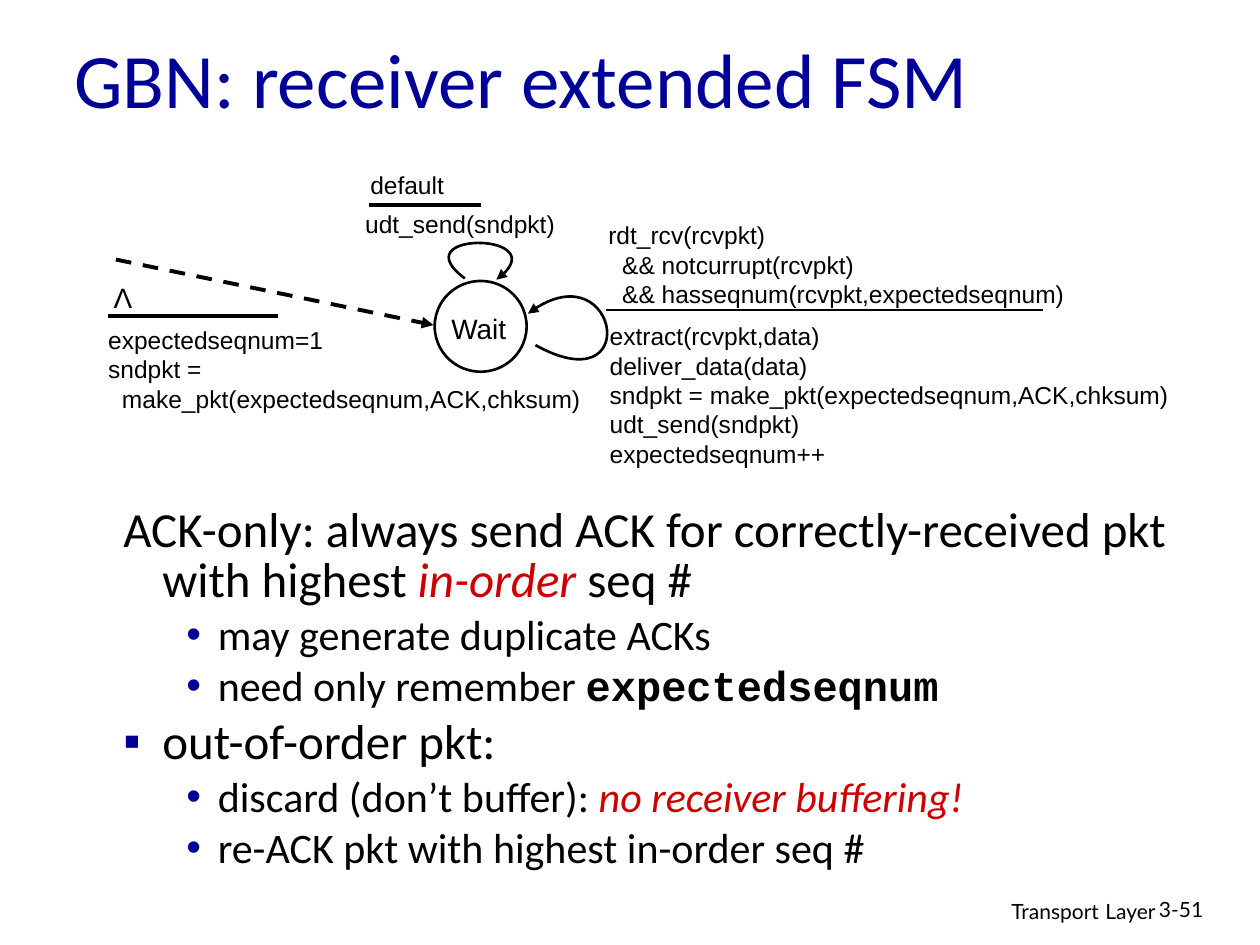
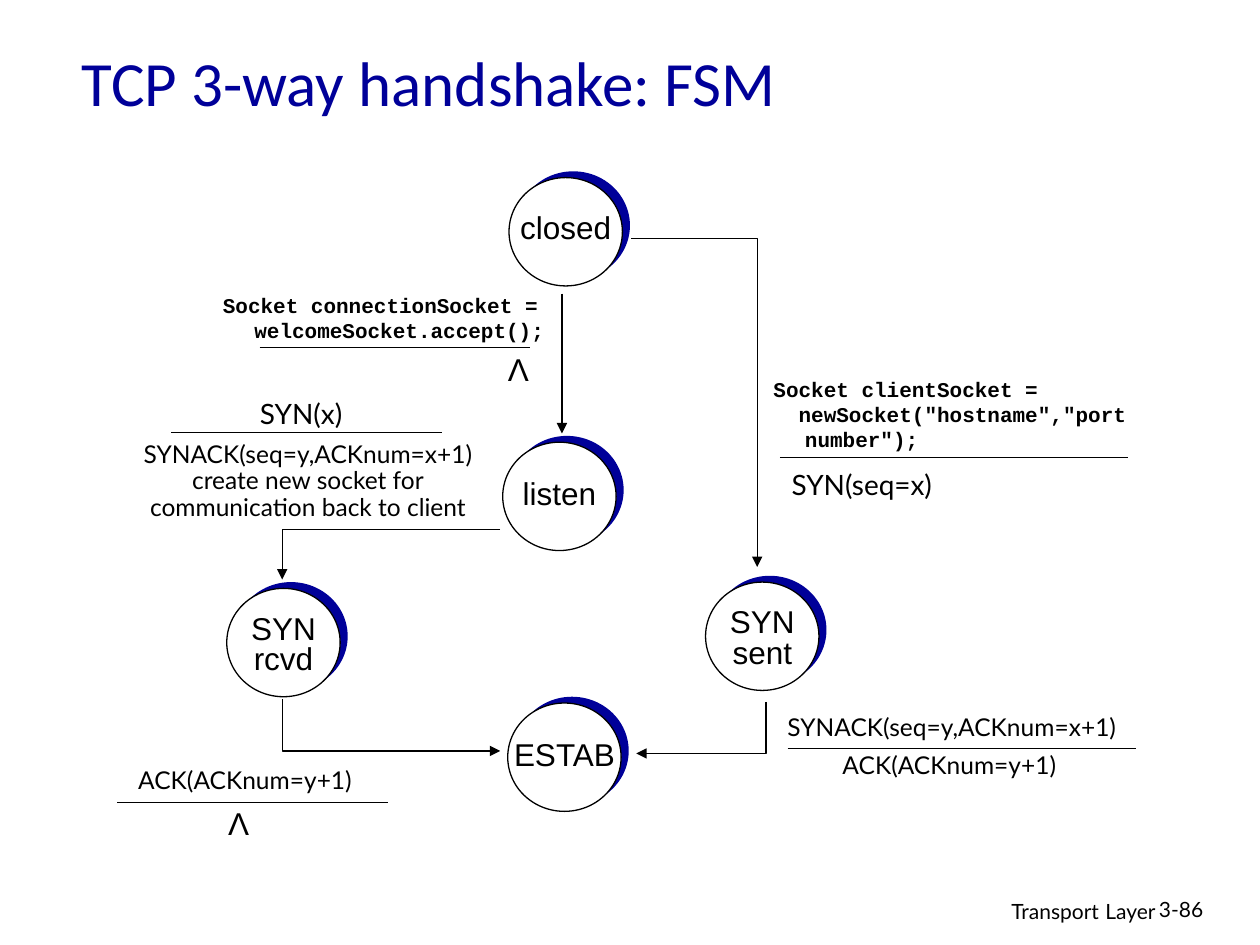
from lxml.etree import SubElement
from pptx import Presentation
from pptx.dml.color import RGBColor
from pptx.enum.dml import MSO_LINE
from pptx.enum.shapes import MSO_CONNECTOR, MSO_SHAPE
from pptx.enum.text import MSO_ANCHOR, PP_ALIGN
from pptx.oxml.ns import qn
from pptx.util import Cm, Pt

CM_PER_INCH = 2.54


def cm(*inches):
    return [Cm(value * CM_PER_INCH) for value in inches]


def colour(code):
    return RGBColor.from_string(code)


def add_run(paragraph, text, font="Arial", size=14, ink="000000", bold=False, italic=False):
    run = paragraph.add_run()
    run.text = text
    run.font.name = font
    run.font.size = Pt(size)
    run.font.color.rgb = colour(ink)
    run.font.bold = bold
    run.font.italic = italic


class Deck:
    NAVY = "000099"
    RED = "CC0000"
    BLACK = "000000"
    WHITE = "FFFFFF"
    TITLE_FONT = "Calibri"
    LABEL_FONT = "Lato"
    CODE_FONT = "Courier New"

    def __init__(self):
        self.presentation = Presentation()
        self.presentation.slide_width, self.presentation.slide_height = cm(10, 7.5)
        self.shapes = None

    def new_slide(self, title, box, title_size, number):
        slide = self.presentation.slides.add_slide(self.presentation.slide_layouts[6])
        self.shapes = slide.shapes
        self.text(box, [title], anchor=MSO_ANCHOR.MIDDLE,
                  font=self.TITLE_FONT, size=title_size, ink=self.NAVY)
        footer = [("Transport", {}), (" ", {"size": 14}), ("Layer", {})]
        self.text((6.1, 7.05, 3.17, 0.31), [footer], align=PP_ALIGN.RIGHT,
                  font=self.LABEL_FONT, size=12)
        self.text((9.1, 7.07, 0.74, 0.3), [number], font=self.LABEL_FONT, size=12)

    def frame(self, box, anchor=MSO_ANCHOR.TOP, wrap=True):
        frame = self.shapes.add_textbox(*cm(*box)).text_frame
        frame.word_wrap = wrap
        frame.vertical_anchor = anchor
        return frame

    def paragraph(self, frame, line, first, align=PP_ALIGN.LEFT, spacing=None,
                  margin=0, indent=0, **style):
        paragraph = frame.paragraphs[0] if first else frame.add_paragraph()
        paragraph.alignment = align
        paragraph.line_spacing = spacing
        properties = paragraph._p.get_or_add_pPr()
        for key, length in zip(("marL", "indent"), cm(margin, indent)):
            properties.set(key, str(length))
        for text, changes in [(line, {})] if isinstance(line, str) else line:
            add_run(paragraph, text, **{**style, **changes})
        return paragraph

    def text(self, box, lines, anchor=MSO_ANCHOR.TOP, wrap=True, margins=(), **style):
        frame = self.frame(box, anchor, wrap)
        for index, line in enumerate(lines):
            margin, indent = margins[index] if margins else (0, 0)
            self.paragraph(frame, line, index == 0, margin=margin, indent=indent, **style)

    def label(self, box, *lines, **style):
        self.text(box, lines, wrap=False, align=PP_ALIGN.CENTER, **style)

    def bullets(self, box, items):
        levels = [(28, 0.31, -0.31), (24, 0.75, -0.25)]
        frame = self.frame(box)
        for index, (level, mark, line) in enumerate(items):
            size, margin, indent = levels[level]
            paragraph = self.paragraph(frame, line, index == 0, spacing=0.85, margin=margin,
                                       indent=indent, font=self.TITLE_FONT, size=size)
            paragraph.level = level
            paragraph.space_before = Pt(size * 0.2)
            if mark:
                properties = paragraph._p.get_or_add_pPr()
                tint = SubElement(properties, qn("a:buClr"))
                SubElement(tint, qn("a:srgbClr"), val=self.NAVY)
                SubElement(properties, qn("a:buFont"), typeface="Arial")
                SubElement(properties, qn("a:buChar"), char=mark)

    def stroke(self, shape, width, arrow=False, dash=None):
        shape.line.color.rgb = colour(self.BLACK)
        shape.line.width = Pt(width)
        if dash:
            shape.line.dash_style = dash
        if arrow:
            outline = shape._element.spPr.find(qn("a:ln"))
            SubElement(outline, qn("a:tailEnd"), type="triangle")

    def line(self, start, end, width=0.75, **ends):
        connector = self.shapes.add_connector(MSO_CONNECTOR.STRAIGHT, *cm(*start, *end))
        self.stroke(connector, width, **ends)
        SubElement(connector._element.spPr, qn("a:effectLst"))

    def rule(self, left, right, y, width=0.75):
        self.line((left, y), (right, y), width)

    def route(self, points, width=0.75):
        start, *rest = [cm(*point) for point in points]
        builder = self.shapes.build_freeform(*start, scale=1.0)
        builder.add_line_segments(rest, close=False)
        route = builder.convert_to_shape()
        route.fill.background()
        route.shadow.inherit = False
        self.stroke(route, width, arrow=True)
        return route

    def loop(self, points):
        loop = self.route(points, 1.5)
        outline = loop._element.spPr.find(".//" + qn("a:path"))
        segments = outline.findall(qn("a:lnTo"))
        curve = SubElement(outline, qn("a:cubicBezTo"))
        for segment in segments:
            curve.append(segment[0])
            outline.remove(segment)

    def circle(self, shapes, box, fill, width=None):
        circle = shapes.add_shape(MSO_SHAPE.OVAL, *cm(*box))
        circle.shadow.inherit = False
        circle.fill.solid()
        circle.fill.fore_color.rgb = colour(fill)
        if width:
            self.stroke(circle, width)
        else:
            circle.line.fill.background()

    def state(self, left, top, lines, label_size, drop=0, spacing=None):
        width, height = 0.9, 0.86
        pair = self.shapes.add_group_shape().shapes
        self.circle(pair, (left + 0.06, top - 0.05, width, height), self.NAVY)
        self.circle(pair, (left, top, width, height), self.WHITE, 0.75)
        label_width, label_height = label_size
        self.label((left + (width - label_width) / 2,
                    top + (height - label_height) / 2 + drop, label_width, label_height),
                   *lines, size=18, spacing=spacing)


def receiver_slide(deck):
    deck.new_slide("GBN: receiver extended FSM", (0.49, 0.23, 8.5, 0.77), 44, "3-51")
    emphasis = {"ink": deck.RED, "italic": True}
    code = {"font": deck.CODE_FONT, "bold": True}
    deck.bullets((0.88, 3.98, 8.91, 3.12), [
        (0, None, [("ACK-only: always send ACK for correctly-received pkt with highest ", {}),
                   ("in-order", emphasis), (" seq #", {})]),
        (1, "•", "may generate duplicate ACKs"),
        (1, "•", [("need only remember ", {}), ("expectedseqnum", code)]),
        (0, "▪", "out-of-order pkt:"),
        (1, "•", [("discard (don’t buffer): ", {}), ("no receiver buffering!", emphasis)]),
        (1, "•", "re-ACK pkt with highest in-order seq #"),
    ])

    deck.circle(deck.shapes, (3.45, 2.23, 0.73, 0.72), deck.WHITE, 1.5)
    deck.label((3.36, 2.42, 0.88, 0.26), "Wait", size=16)
    deck.line((0.92, 2.06), (3.44, 2.58), 2.25, arrow=True, dash=MSO_LINE.DASH)
    deck.loop([(4.25, 2.74), (5.1, 3.21), (4.9, 1.95), (4.19, 2.49)])
    deck.loop([(3.69, 2.21), (3.19, 1.84), (4.45, 1.84), (3.94, 2.22)])

    flush, inset = (0, 0), (0.11, 0)
    deck.text((2.84, 1.3, 0.99, 0.27), ["default"])
    deck.rule(2.93, 3.82, 1.63, 2.25)
    deck.text((2.8, 1.61, 1.77, 0.34), ["udt_send(sndpkt)"])

    deck.text((4.73, 1.7, 3.9, 0.62),
              ["rdt_rcv(rcvpkt)", "&& notcurrupt(rcvpkt)",
               "&& hasseqnum(rcvpkt,expectedseqnum)"],
              margins=[flush, inset, inset])
    deck.rule(4.81, 8.28, 2.46, 1.5)
    deck.text((4.74, 2.5, 4.72, 0.94),
              ["extract(rcvpkt,data)", "deliver_data(data)",
               "sndpkt = make_pkt(expectedseqnum,ACK,chksum)",
               "udt_send(sndpkt)", "expectedseqnum++"])

    deck.label((0.8, 2.18, 0.35, 0.37), "Λ", size=16)
    deck.rule(0.86, 2.21, 2.51, 2.25)
    deck.text((0.76, 2.53, 3.98, 1.07),
              ["expectedseqnum=1", "sndpkt =", "make_pkt(expectedseqnum,ACK,chksum)"],
              margins=[flush, flush, inset])


def handshake_slide(deck):
    deck.new_slide("TCP 3-way handshake: FSM", (0.55, 0.18, 5.86, 0.93), 36, "3-86")
    single, double = (0.92, 0.4), (0.72, 0.58)
    deck.state(4.04, 1.41, ["closed"], single, drop=-0.04)
    deck.state(3.99, 3.51, ["listen"], single, drop=-0.03)
    deck.state(1.8, 4.67, ["SYN", "rcvd"], double, drop=0.03, spacing=0.8)
    deck.state(5.6, 4.62, ["SYN", "sent"], double, drop=0.03, spacing=0.8)
    deck.state(4.03, 5.58, ["ESTAB"], (1.02, 0.34), spacing=0.8)

    deck.line((4.46, 2.33), (4.46, 3.44), arrow=True)
    deck.route([(5.01, 1.89), (6.01, 1.89), (6.01, 4.5)])
    deck.route([(3.97, 4.2), (2.24, 4.2), (2.24, 4.6)])
    deck.route([(2.24, 5.55), (2.24, 5.96), (3.97, 5.96)])
    deck.route([(6.08, 5.57), (6.08, 5.98), (5.05, 5.98)])

    code = {"font": deck.CODE_FONT, "size": 12, "bold": True}
    event = {"font": deck.LABEL_FONT, "size": 16}
    action = {"font": deck.LABEL_FONT, "size": 14, "spacing": 0.9}
    hanging = (0.25, -0.25)

    deck.text((1.67, 2.27, 2.82, 0.5),
              ["Socket connectionSocket = welcomeSocket.accept();"], margins=[hanging], **code)
    deck.rule(2.06, 4.21, 2.76)
    deck.label((3.93, 2.73, 0.37, 0.4), "Λ", size=18)

    deck.text((6.04, 2.94, 3.16, 0.7),
              ["Socket clientSocket =", 'newSocket("hostname","port number");'],
              margins=[hanging, (0.25, -0.05)], **code)
    deck.rule(6.19, 8.95, 3.63)
    deck.label((6.15, 3.66, 1.38, 0.37), "SYN(seq=x)", **event)

    deck.label((1.95, 3.1, 0.88, 0.37), "SYN(x)", **event)
    deck.rule(1.36, 3.51, 3.43)
    deck.label((1.02, 3.46, 2.85, 0.73), "SYNACK(seq=y,ACKnum=x+1)",
               "create new socket for", "communication back to client", **action)

    deck.label((6.13, 5.63, 2.85, 0.52), "SYNACK(seq=y,ACKnum=x+1)", **action)
    deck.rule(6.25, 9.02, 5.94)
    deck.label((6.58, 5.93, 1.91, 0.52), "ACK(ACKnum=y+1)", **action)

    deck.label((0.99, 6.05, 1.91, 0.52), "ACK(ACKnum=y+1)", **action)
    deck.rule(0.93, 3.08, 6.37)
    deck.label((1.71, 6.33, 0.37, 0.4), "Λ", size=18)


deck = Deck()
receiver_slide(deck)
handshake_slide(deck)
deck.presentation.save("out.pptx")
